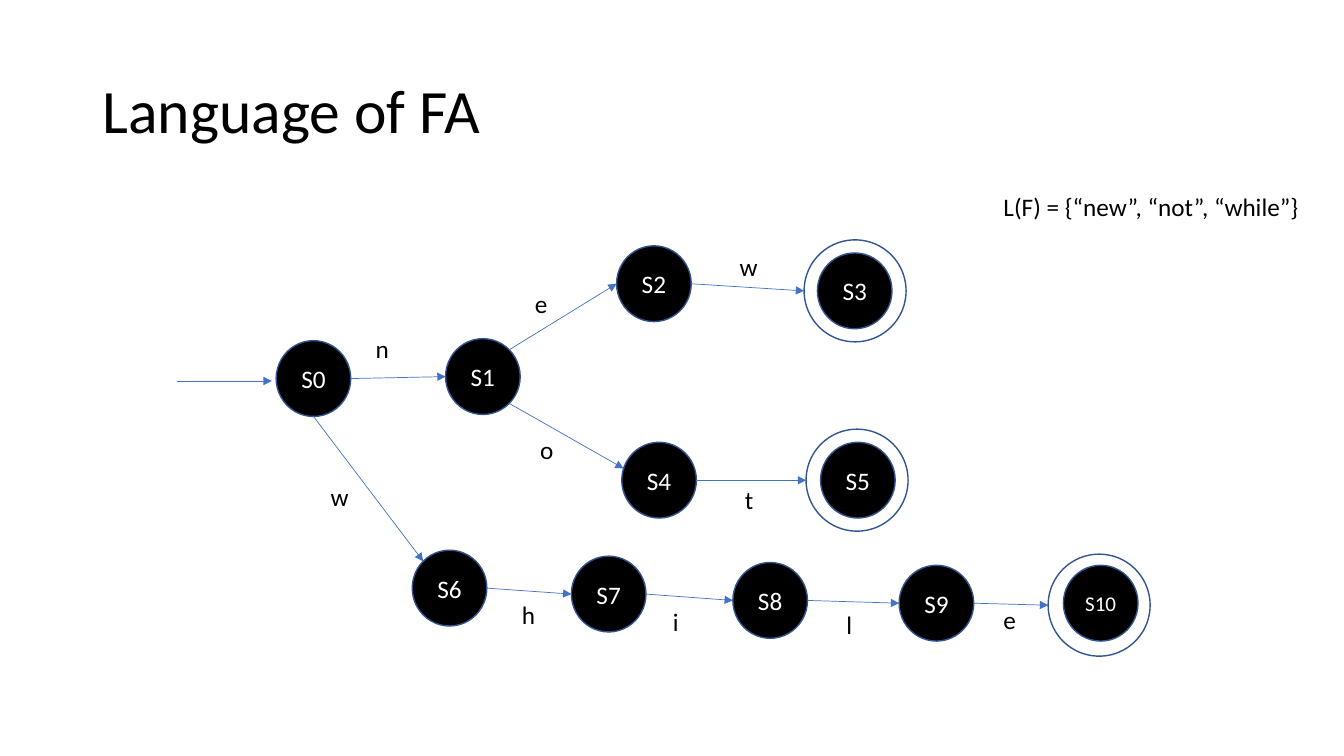
from math import cos, radians, sin

from lxml.etree import SubElement
from pptx import Presentation
from pptx.dml.color import RGBColor
from pptx.enum.shapes import MSO_CONNECTOR as CXN, MSO_SHAPE as SHAPE
from pptx.enum.text import MSO_ANCHOR as ANCHOR, MSO_AUTO_SIZE as AUTO, PP_ALIGN as ALIGN
from pptx.oxml.ns import qn
from pptx.util import Cm, Pt

BLACK = RGBColor(0x00, 0x00, 0x00)
WHITE = RGBColor(0xFF, 0xFF, 0xFF)
OUTLINE = RGBColor(0x32, 0x54, 0x91)
ARROW = RGBColor(0x44, 0x72, 0xC4)

NODE_SIZE = (1.88, 1.91)
RING_SIZE = (2.57, 2.57)
LABEL_SIZE = (1.14, 1.02)

STATES = {
    "S0": (7.9, 9.54),
    "S1": (12.17, 9.49),
    "S2": (16.48, 7.15),
    "S3": (21.54, 7.33),
    "S4": (16.61, 12.1),
    "S5": (21.62, 12.1),
    "S6": (11.33, 14.82),
    "S7": (15.34, 14.97),
    "S8": (19.41, 15.13),
    "S9": (23.6, 15.2),
    "S10": (27.74, 15.2),
}
RINGS = {"S3": (21.55, 7.33), "S5": (21.6, 12.1), "S10": (27.7, 15.25)}

RIGHT, LOWER_RIGHT, BOTTOM, LEFT, UPPER_LEFT, UPPER_RIGHT = 0, 45, 90, 180, 225, 315
TRANSITIONS = [
    ("S0", RIGHT, "S1", LEFT, "n", (9.22, 8.28)),
    ("S1", UPPER_RIGHT, "S2", LEFT, "e", (13.23, 7.14)),
    ("S1", LOWER_RIGHT, "S4", 198, "o", (13.36, 10.82)),
    ("S2", RIGHT, "S3", LEFT, "w", (18.39, 6.22)),
    ("S4", RIGHT, "S5", LEFT, "t", (18.52, 12.09)),
    ("S0", BOTTOM, "S6", UPPER_LEFT, "w", (8.08, 12.01)),
    ("S6", RIGHT, "S7", LEFT, "h", (12.9, 14.99)),
    ("S7", RIGHT, "S8", LEFT, "i", (16.71, 15.16)),
    ("S8", RIGHT, "S9", LEFT, "l", (21.08, 15.24)),
    ("S9", RIGHT, "S10", LEFT, "e", (25.04, 15.11)),
]


def write(tf, text, size=18, color=BLACK, align=ALIGN.LEFT, anchor=ANCHOR.TOP,
          wrap=True, spacing=None):
    tf.word_wrap = wrap
    tf.vertical_anchor = anchor
    p = tf.paragraphs[0]
    p.alignment = align
    p.line_spacing = spacing
    r = p.add_run()
    r.text = text
    r.font.name = "Calibri"
    r.font.size = Pt(size)
    r.font.color.rgb = color


def add_title(slide, text):
    sp = slide.shapes.title
    sp.left, sp.top, sp.width, sp.height = Cm(2.33), Cm(1.01), Cm(29.21), Cm(3.68)
    write(sp.text_frame, text, size=44, anchor=ANCHOR.MIDDLE, spacing=0.9)


def add_label(slide, text, at, size=LABEL_SIZE):
    sp = slide.shapes.add_textbox(*map(Cm, (*at, *size)))
    write(sp.text_frame, text)
    sp.text_frame.auto_size = AUTO.SHAPE_TO_FIT_TEXT


def add_circle(slide, center, size, fill=None):
    (x, y), (w, h) = center, size
    sp = slide.shapes.add_shape(SHAPE.OVAL, Cm(x - w / 2), Cm(y - h / 2), Cm(w), Cm(h))
    sp.shadow.inherit = False
    if fill is None:
        sp.fill.background()
    else:
        sp.fill.solid()
        sp.fill.fore_color.rgb = fill
    sp.line.color.rgb = OUTLINE
    sp.line.width = Pt(1)
    return sp


def add_state(slide, name):
    if name in RINGS:
        add_circle(slide, RINGS[name], RING_SIZE)
    sp = add_circle(slide, STATES[name], NODE_SIZE, fill=BLACK)
    write(sp.text_frame, name, size=18 if len(name) == 2 else 15, color=WHITE,
          align=ALIGN.CENTER, anchor=ANCHOR.MIDDLE, wrap=False)


def add_arrow(slide, start, end):
    cxn = slide.shapes.add_connector(CXN.STRAIGHT, *map(Cm, (*start, *end)))
    cxn.line.color.rgb = ARROW
    cxn.line.width = Pt(0.5)
    SubElement(cxn.line._get_or_add_ln(), qn("a:tailEnd"), type="triangle")
    SubElement(cxn._element.spPr, qn("a:effectLst"))


def edge_point(name, angle):
    x, y = RINGS.get(name, STATES[name])
    w, h = RING_SIZE if name in RINGS else NODE_SIZE
    return x + w / 2 * cos(radians(angle)), y + h / 2 * sin(radians(angle))


def main():
    prs = Presentation()
    prs.slide_width, prs.slide_height = Cm(33.87), Cm(19.05)
    slide = prs.slides.add_slide(prs.slide_layouts[5])

    add_title(slide, "Language of FA")
    for name in STATES:
        add_state(slide, name)
    add_arrow(slide, (4.45, 9.6), (6.85, 9.6))
    for source, leave, target, enter, symbol, at in TRANSITIONS:
        add_arrow(slide, edge_point(source, leave), edge_point(target, enter))
        add_label(slide, symbol, at)
    add_label(slide, "L(F) = {“new”, “not”, “while”}", (25.04, 4.7), (8.41, 4.11))

    prs.save("out.pptx")


if __name__ == "__main__":
    main()
